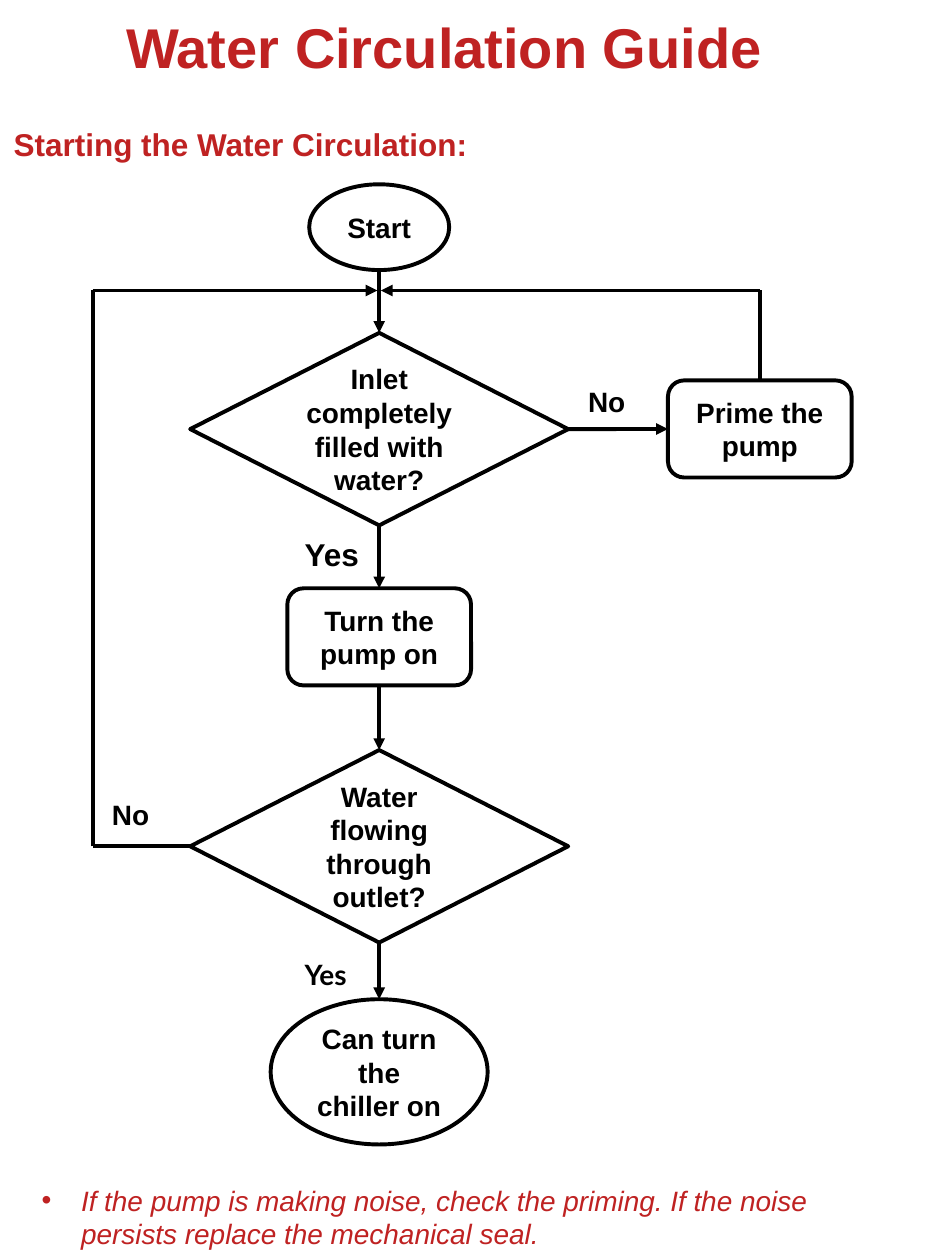
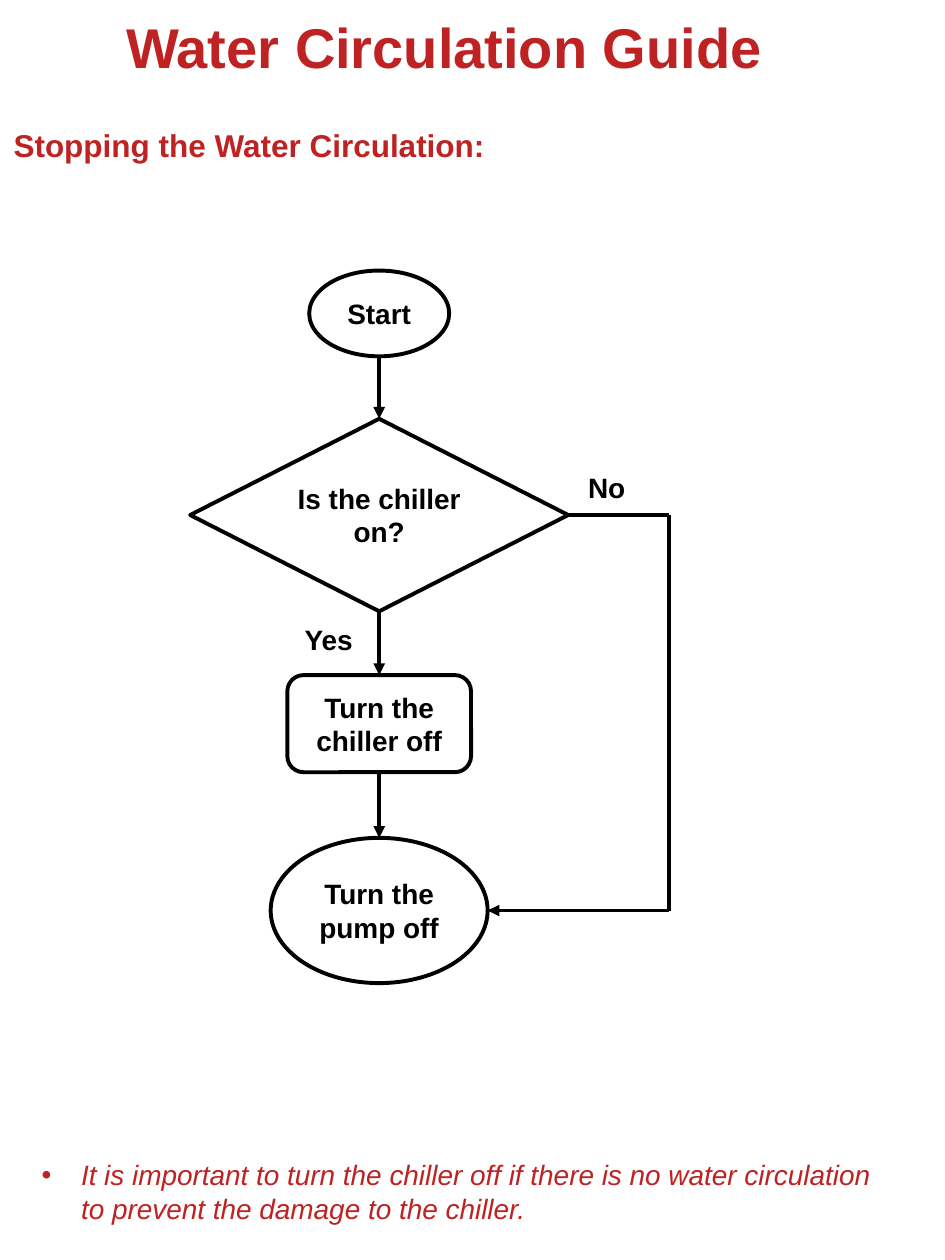
"""Build the two-slide water circulation guide with its flowcharts."""
from dataclasses import dataclass

from pptx import Presentation
from pptx.dml.color import RGBColor
from pptx.enum.shapes import MSO_CONNECTOR, MSO_SHAPE
from pptx.enum.text import MSO_ANCHOR, MSO_AUTO_SIZE, PP_ALIGN
from pptx.oxml.ns import qn
from pptx.util import Pt
from lxml.etree import SubElement


@dataclass(frozen=True)
class Theme:
    red: RGBColor = RGBColor(0xBF, 0x22, 0x22)
    black: RGBColor = RGBColor(0, 0, 0)
    font: str = "Arial"
    label_font: str = "Lato"
    title_size: int = 32
    heading_size: int = 18
    text_size: int = 16
    line_width: float = 2.25


theme = Theme()


def write(shape, text, size, color, font=theme.font, bold=True, italic=False,
          align=PP_ALIGN.LEFT, anchor=MSO_ANCHOR.TOP):
    frame = shape.text_frame
    frame.word_wrap = True
    frame.auto_size = MSO_AUTO_SIZE.NONE
    frame.vertical_anchor = anchor
    paragraph = frame.paragraphs[0]
    paragraph.alignment = align
    paragraph.space_before = Pt(0)
    run = paragraph.add_run()
    run.text = text
    run.font.name = font
    run.font.size = Pt(size)
    run.font.bold = bold
    run.font.italic = italic
    run.font.color.rgb = color
    return paragraph


def draw_route(slide, points, begin=None, end=None):
    segments = list(zip(points, points[1:]))
    for number, (start, stop) in enumerate(segments):
        connector = slide.shapes.add_connector(
            MSO_CONNECTOR.STRAIGHT, *(Pt(value) for value in start + stop))
        is_last = number == len(segments) - 1
        if begin and number == 0:
            connector.begin_connect(*begin)
        if end and is_last:
            connector.end_connect(*end)
        connector.line.color.rgb = theme.black
        connector.line.width = Pt(theme.line_width)
        properties = connector._element.spPr
        if is_last:
            SubElement(properties.find(qn("a:ln")), qn("a:tailEnd"), type="triangle")
        SubElement(properties, qn("a:effectLst"))


SPINE = 216.7
SIDE_BOX = 434.2
TOP, LEFT, BOTTOM, RIGHT = range(4)
NODE_STYLES = {
    "start": (MSO_SHAPE.OVAL, 80, 49),
    "question": (MSO_SHAPE.DIAMOND, 216, 110),
    "action": (MSO_SHAPE.ROUNDED_RECTANGLE, 105, 55.5),
    "finish": (MSO_SHAPE.OVAL, 124, 83),
}

guides = [
    {
        "heading": ("Starting the Water Circulation:", 67.7),
        "note": ("If the pump is making noise, check the priming. "
                 "If the noise persists replace the mechanical seal.", 672.5),
        "nodes": [
            ("start", "Start", SPINE, 105.3),
            ("question", "Inlet completely filled with water?", SPINE, 190.2),
            ("action", "Turn the pump on", SPINE, 336.2),
            ("question", "Water flowing through outlet?", SPINE, 428.6),
            ("finish", "Can turn the chiller on", SPINE, 571),
            ("action", "Prime the pump", SIDE_BOX, 217.4),
        ],
        "labels": [
            ("Yes", 167, 302.4, theme.heading_size, theme.font),
            ("No", 329, 216, theme.text_size, theme.font),
            ("Yes", 167, 543.6, theme.text_size, theme.label_font),
            ("No", 56.9, 452.2, theme.text_size, theme.font),
        ],
        "routes": [
            ([(324.7, 245.2), (381.7, 245.2)], (1, RIGHT), (5, LEFT)),
            ([(SIDE_BOX, 217.4), (SIDE_BOX, 166), (217.7, 166)], (5, TOP), None),
            ([(108.7, 483.6), (53, 483.6), (53, 166), (215.7, 166)], (3, LEFT), None),
        ],
    },
    {
        "heading": ("Stopping the Water Circulation:", 68.5),
        "note": ("It is important to turn the chiller off if there is no water "
                 "circulation to prevent the damage to the chiller.", 658),
        "nodes": [
            ("start", "Start", SPINE, 154.6),
            ("question", "Is the chiller on?", SPINE, 239.3),
            ("action", "Turn the chiller off", SPINE, 385.8),
            ("finish", "Turn the pump off", SPINE, 478.8),
        ],
        "labels": [
            ("Yes", 167, 352, theme.text_size, theme.font),
            ("No", 329, 265.5, theme.text_size, theme.font),
        ],
        "routes": [
            ([(324.7, 294.3), (382.3, 294.3), (382.3, 520.3), (278.7, 520.3)],
             (1, RIGHT), None),
        ],
    },
]

presentation = Presentation()
presentation.slide_width = Pt(540)
presentation.slide_height = Pt(720)

for guide in guides:
    slide = presentation.slides.add_slide(presentation.slide_layouts[1])

    title = slide.shapes.title
    title.left, title.top, title.width, title.height = Pt(64.8), Pt(3.6), Pt(411), Pt(46)
    write(title, "Water Circulation Guide", theme.title_size, theme.red)

    note_text, note_top = guide["note"]
    note = slide.placeholders[1]
    note.left, note.top, note.width, note.height = Pt(16.6), Pt(note_top), Pt(506), Pt(46)
    properties = note.text_frame.paragraphs[0]._p.get_or_add_pPr()
    properties.set("marL", str(Pt(22.5)))
    properties.set("indent", str(-Pt(22.5)))
    SubElement(properties, qn("a:buFont"), typeface=theme.font)
    SubElement(properties, qn("a:buChar"), char="•")
    write(note, note_text, theme.text_size, theme.red, bold=False, italic=True)

    heading_text, heading_top = guide["heading"]
    heading = slide.shapes.add_textbox(Pt(0.7), Pt(heading_top), Pt(294), Pt(29))
    write(heading, heading_text, theme.heading_size, theme.red)

    nodes = []
    for kind, text, center, top in guide["nodes"]:
        preset, width, height = NODE_STYLES[kind]
        node = slide.shapes.add_shape(
            preset, Pt(center - width / 2), Pt(top), Pt(width), Pt(height))
        node.shadow.inherit = False
        node.fill.background()
        node.line.color.rgb = theme.black
        node.line.width = Pt(theme.line_width)
        write(node, text, theme.text_size, theme.black,
              align=PP_ALIGN.CENTER, anchor=MSO_ANCHOR.MIDDLE)
        nodes.append(node)

    column = [(node, kind, top, top + NODE_STYLES[kind][2])
              for node, (kind, _, center, top) in zip(nodes, guide["nodes"])
              if center == SPINE]
    for (upper, kind, _, bottom), (lower, _, top, _) in zip(column, column[1:]):
        begin = None if kind == "start" else (upper, BOTTOM)
        draw_route(slide, [(SPINE, bottom), (SPINE, top)], begin, (lower, TOP))

    for points, begin, end in guide["routes"]:
        joins = [(nodes[join[0]], join[1]) if join else None for join in (begin, end)]
        draw_route(slide, points, *joins)

    for text, left, top, size, font in guide["labels"]:
        label = slide.shapes.add_textbox(Pt(left), Pt(top), Pt(47.5), Pt(27))
        write(label, text, size, theme.black, font)

presentation.save("out.pptx")
